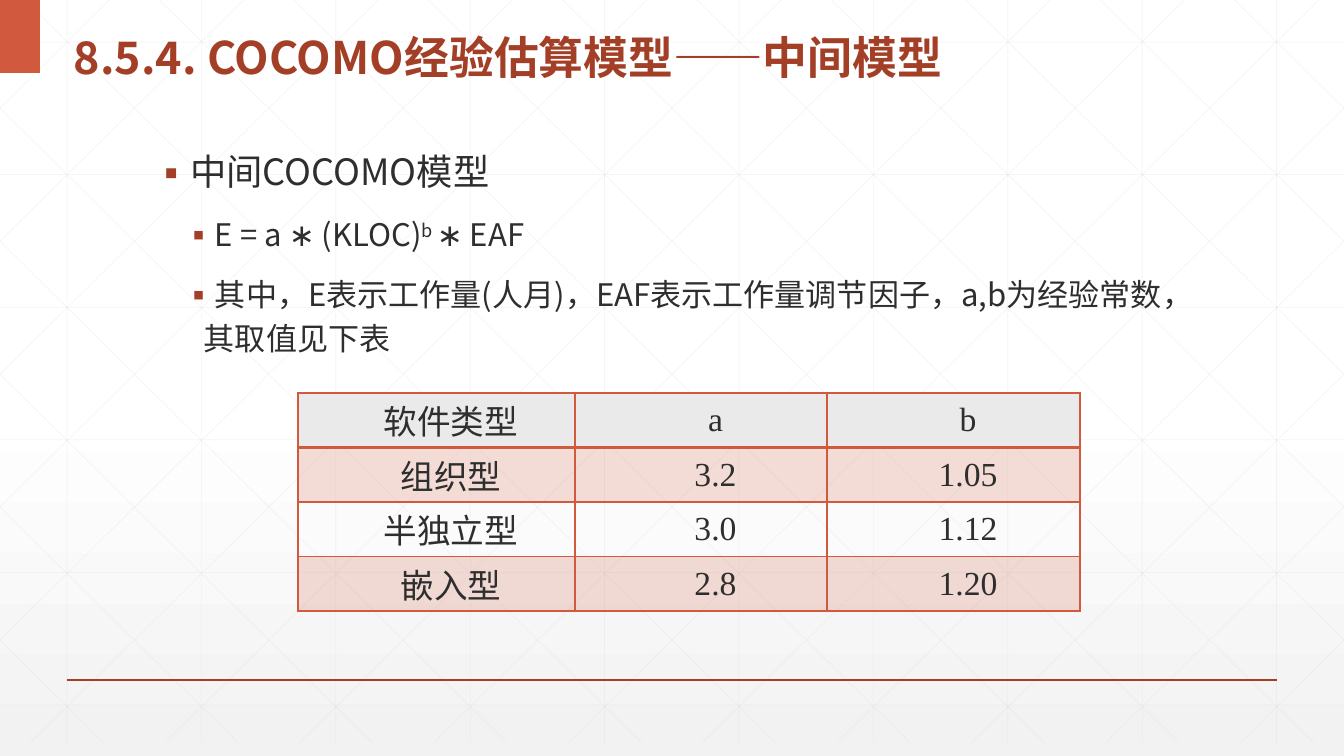
from lxml.etree import SubElement
from pptx import Presentation
from pptx.dml.color import RGBColor
from pptx.enum.shapes import MSO_CONNECTOR, MSO_SHAPE
from pptx.enum.text import MSO_ANCHOR, PP_ALIGN
from pptx.oxml import parse_xml
from pptx.oxml.ns import nsdecls, qn
from pptx.util import Emu, Pt

PX = 914400 / 100.8
WIDTH, HEIGHT = 1344, 756
WHITE = RGBColor(0xFF, 0xFF, 0xFF)
PALE_GREY = RGBColor(0xF2, 0xF2, 0xF2)
GRID_GREY = RGBColor(0xD9, 0xD9, 0xD9)
HEADER_GREY = RGBColor(0xEA, 0xEA, 0xEA)
RUST = RGBColor(0xA4, 0x3F, 0x27)
CORAL = RGBColor(0xD1, 0x5A, 0x3E)
INK = RGBColor(0x2D, 0x2E, 0x2D)
SANS, SERIF = "Noto Sans CJK SC", "Times New Roman"


def draw_line(start, end, color, width, opacity=100):
    ends = [Emu(round(value * PX)) for value in (*start, *end)]
    connector = slide.shapes.add_connector(MSO_CONNECTOR.STRAIGHT, *ends)
    connector.line.color.rgb = color
    connector.line.width = Pt(width)
    properties = connector._element.spPr
    SubElement(next(properties.iter(qn("a:srgbClr"))), qn("a:alpha"), val=str(opacity * 1000))
    SubElement(properties, qn("a:effectLst"))


def add_run(paragraph, text, color, **font_format):
    run = paragraph.add_run()
    run.text = text
    run.font.color.rgb = color
    for name, value in font_format.items():
        setattr(run.font, name, value)
    SubElement(run._r.get_or_add_rPr(), qn("a:ea"), typeface=SANS)
    return run


prs = Presentation()
prs.slide_width, prs.slide_height = Emu(round(WIDTH * PX)), Emu(round(HEIGHT * PX))
slide = prs.slides.add_slide(prs.slide_layouts[6])

# Background shading
shading = slide.background.fill
shading.gradient()
shading.gradient_angle = 270
for stop, position, color in zip(shading.gradient_stops, (0.53, 1), (WHITE, PALE_GREY)):
    stop.position = position
    stop.color.rgb = color

# Background grid: uprights, levels, then mirrored diagonals cut at the slide edges
grid_bottom, diagonal_run = 743, 751
grid_step = WIDTH / 10
slope = grid_bottom / diagonal_run
grid = []
for i in range(10):
    x = 67 + i * grid_step
    grid.append(((x, 0), (x, grid_bottom)))
for i in range(6):
    y = 42 + i * 132.6
    grid.append(((0, y), (WIDTH, y)))
for i in range(-5, 10):
    x = 25 + i * grid_step
    left, right = max(x, 0), min(x + diagonal_run, WIDTH)
    top, bottom = (left - x) * slope, (right - x) * slope
    grid.append(((left, top), (right, bottom)))
    grid.append(((WIDTH - left, top), (WIDTH - right, bottom)))
for start, end in grid:
    draw_line(start, end, GRID_GREY, 0.5, 25)

# Footer rule and corner block
draw_line((67, 680), (1277, 680), RUST, 1)
corner = slide.shapes.add_shape(MSO_SHAPE.RECTANGLE, 0, 0, Emu(round(40 * PX)), Emu(round(73 * PX)))
corner.shadow.inherit = False
corner.fill.solid()
corner.fill.fore_color.rgb = CORAL
corner.line.fill.background()

# Title and body boxes
frames = []
for box in ((64, 12, 1223, 74), (144, 115, 1058, 269)):
    frame = slide.shapes.add_textbox(*(Emu(round(value * PX)) for value in box)).text_frame
    frame.word_wrap = True
    frame.vertical_anchor = MSO_ANCHOR.MIDDLE
    frames.append(frame)
title, body = frames
heading = title.paragraphs[0]
heading.line_spacing = 1.3
add_run(heading, "8.5.4. COCOMO经验估算模型——中间模型", RUST, name=SANS, size=Pt(32), bold=True)

# Bulleted text: level, size, runs with their baseline shift
points = [
    (0, 25.9, [("中间COCOMO模型", 0)]),
    (1, 22.2, [("E = a ∗ (KLOC)", 0), ("b ", 30), ("∗ EAF", 0)]),
    (1, 22.2, [("其中，E表示工作量(人月)，EAF表示工作量调节因子，a,b为经验常数，其取值见下表", 0)]),
]
for i, (level, size, runs) in enumerate(points):
    point = body.paragraphs[0] if i == 0 else body.add_paragraph()
    point.level = level
    properties = point._p.get_or_add_pPr()
    margin, hanging = ((25, 25), (50, 20))[level]
    properties.set("marL", str(round(margin * PX)))
    properties.set("indent", str(round(-hanging * PX)))
    SubElement(SubElement(properties, qn("a:buClr")), qn("a:srgbClr"), val=str(RUST))
    SubElement(properties, qn("a:buFont"), typeface=SANS)
    SubElement(properties, qn("a:buChar"), char="▪")
    point.line_spacing = 1.16
    if i:
        point.space_before = Pt(12)
    for text, shift in runs:
        run = add_run(point, text, INK, name=SANS, size=Pt(size))
        if shift:
            run._r.rPr.set("baseline", str(shift * 1000))

# Coefficient table
coefficients = [
    ("软件类型", "a", "b"),
    ("组织型", "3.2", "1.05"),
    ("半独立型", "3.0", "1.12"),
    ("嵌入型", "2.8", "1.20"),
]
column_widths, row_height = (277, 252, 253), 54.5
table_box = (298, 393, sum(column_widths), row_height * len(coefficients))
table = slide.shapes.add_table(4, 3, *(Emu(round(value * PX)) for value in table_box)).table
table.first_row = table.horz_banding = False
for column, width in zip(table.columns, column_widths):
    column.width = Emu(round(width * PX))
cell_format = {
    "vertical_anchor": MSO_ANCHOR.MIDDLE,
    "margin_left": Emu(round(7 * PX)),
    "margin_right": Emu(round(7 * PX)),
    "margin_top": 0,
    "margin_bottom": 0,
}
for r, values in enumerate(coefficients):
    for c, value in enumerate(values):
        cell = table.cell(r, c)
        for name, setting in cell_format.items():
            setattr(cell, name, setting)
        entry = cell.text_frame.paragraphs[0]
        entry.alignment = PP_ALIGN.CENTER
        entry._p.get_or_add_pPr().set("indent", str(round(29 * PX)))
        add_run(entry, value, INK, name=SERIF, size=Pt(24), bold=False)

        cell_properties = cell._tc.get_or_add_tcPr()
        for side in "LRTB":
            under_header = (r, side) in ((0, "B"), (1, "T"))
            cell_properties.append(parse_xml(
                f'<a:ln{side} {nsdecls("a")} w="{Pt(2 if under_header else 1)}">'
                f'<a:solidFill><a:srgbClr val="{CORAL}"/></a:solidFill></a:ln{side}>'))
        if r == 2:
            cell.fill.background()
            continue
        cell.fill.solid()
        cell.fill.fore_color.rgb = CORAL if r else HEADER_GREY
        if r:
            tint = cell_properties.find(qn("a:solidFill")).find(qn("a:srgbClr"))
            SubElement(tint, qn("a:alpha"), val="20000")

prs.save("out.pptx")
